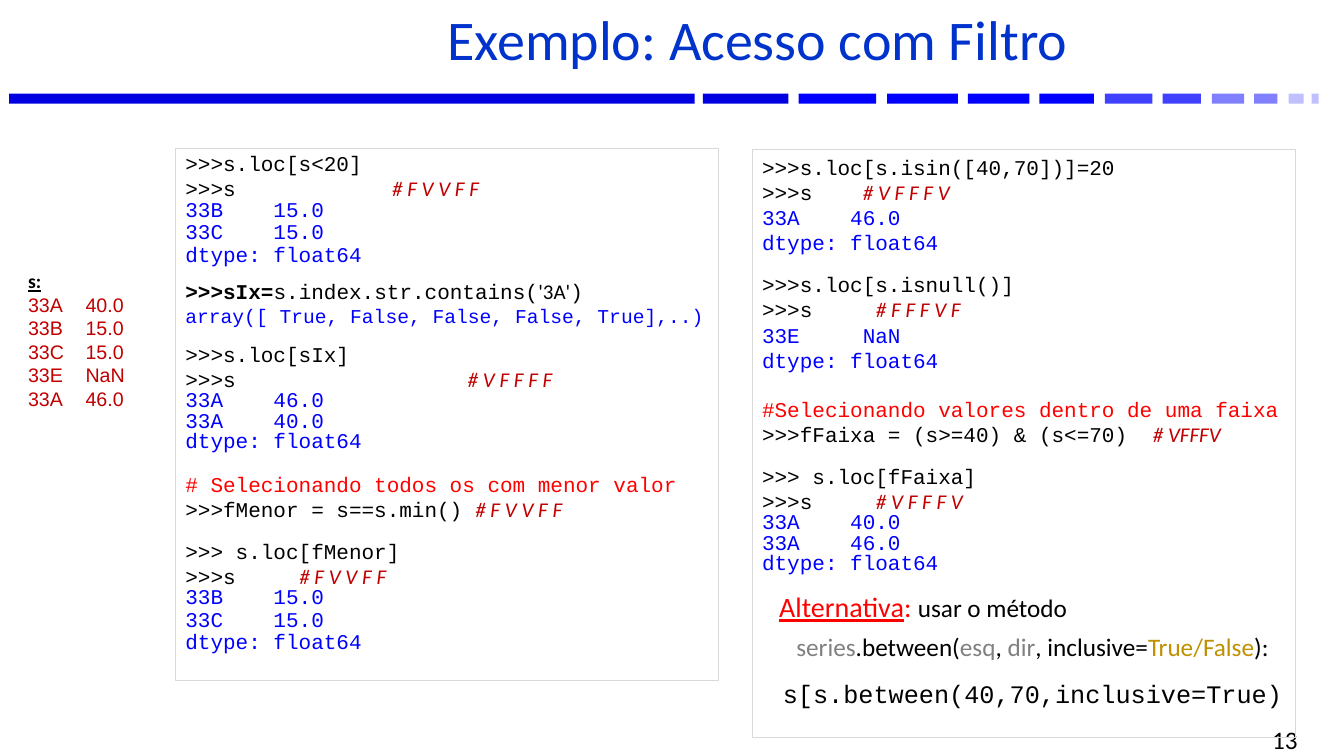
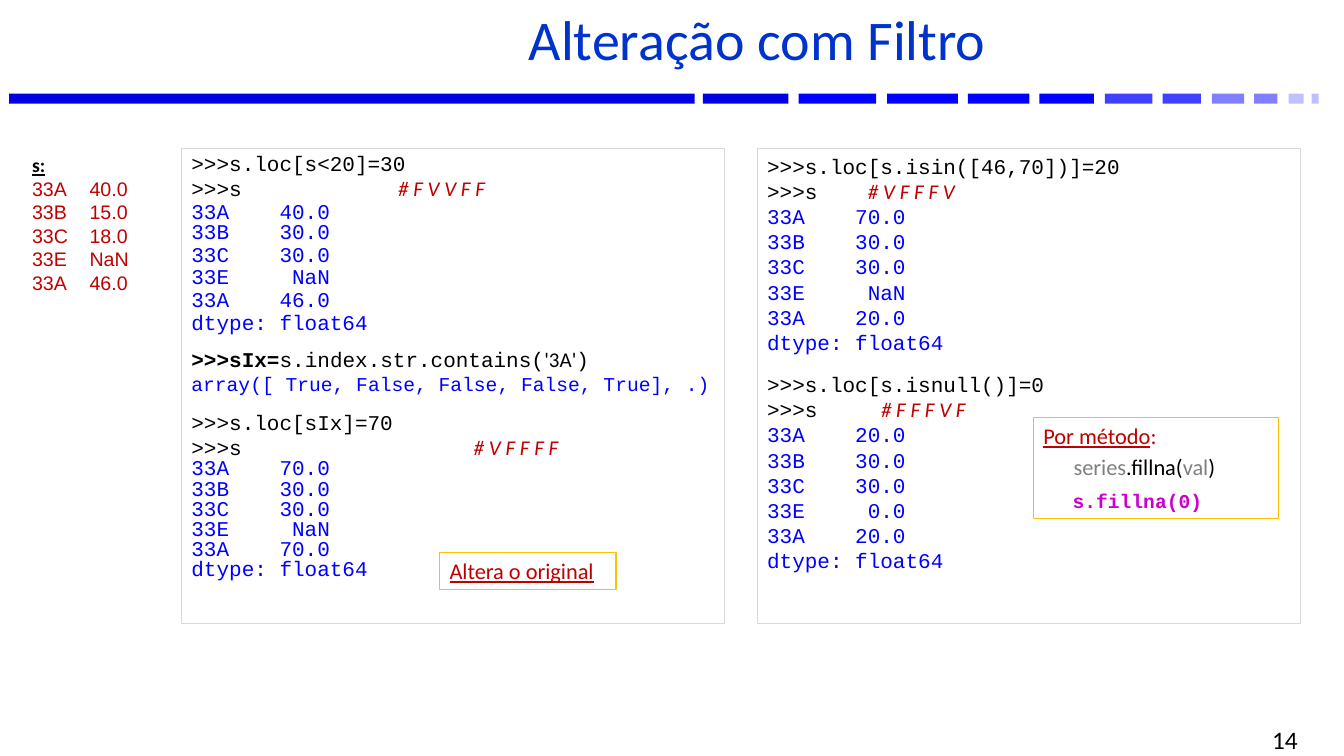
from dataclasses import dataclass

from pptx import Presentation
from pptx import util as u
from pptx.dml.color import RGBColor
from pptx.enum import shapes, text


@dataclass(frozen=True)
class Style:
    font: str
    size: int
    color: str
    bold: bool = False
    italic: bool = False
    underline: bool = False


@dataclass(frozen=True)
class Theme:
    title: Style = Style("Calibri", 40, "0033CC")
    number: Style = Style("Calibri", 18, "000000")
    code: Style = Style("Courier New", 15, "000000")
    strong: Style = Style("Courier New", 15, "000000", bold=True)
    literal: Style = Style("Calibri", 15, "000000")
    output: Style = Style("Courier New", 15, "0000FF")
    array: Style = Style("Courier New", 14, "0000FF")
    remark: Style = Style("Courier New", 15, "FF0000")
    mask: Style = Style("Calibri", 15, "C00000", italic=True)
    series_name: Style = Style("Calibri", 14, "000000", bold=True, underline=True)
    series_row: Style = Style("Arial", 14, "C00000")
    alternative: Style = Style("Calibri", 20, "FF0000", underline=True)
    colon: Style = Style("Calibri", 20, "FF0000")
    body: Style = Style("Calibri", 18, "000000")
    argument: Style = Style("Calibri", 18, "808080")
    value: Style = Style("Calibri", 18, "BF9000")
    example: Style = Style("Courier New", 18, "000000")
    callout: Style = Style("Calibri", 16, "C00000", underline=True)
    callout_colon: Style = Style("Calibri", 16, "C00000")
    callout_body: Style = Style("Calibri", 16, "000000")
    callout_argument: Style = Style("Calibri", 16, "808080")
    callout_code: Style = Style("Courier New", 14, "CC00CC", bold=True)
    panel_line: str = "D9D9D9"
    callout_line: str = "FFC000"
    bands: tuple = ("0000E0", "0000FF", "4040FF", "8080FF", "C0C0FF")


theme = Theme()


def add_box(slide, left, top, width, height, border=None):
    box = slide.shapes.add_textbox(*map(u.Inches, (left, top, width, height)))
    box.text_frame.word_wrap = True
    if border:
        box.line.color.rgb = RGBColor.from_string(border)
        box.line.width = u.Pt(0.75)
    return box.text_frame


def write(frame, *runs, before=0, spacing=1.0, stop=0, indent=0, align=text.PP_ALIGN.LEFT):
    paragraph = None
    for content, style in runs:
        for row, piece in enumerate(content.split("\n")):
            if row or paragraph is None:
                first = frame.paragraphs[0]
                paragraph = frame.add_paragraph() if first.runs else first
                paragraph.alignment = align
                paragraph.line_spacing = spacing
                paragraph.space_before = u.Pt(0 if row else before)
                if stop or indent:
                    properties = paragraph._p.get_or_add_pPr()
                    properties.set("marL", str(u.Inches(stop)))
                    properties.set("indent", str(u.Inches(indent - stop)))
            run = paragraph.add_run()
            run.text = piece
            run.font.name = style.font
            run.font.size = u.Pt(style.size)
            run.font.color.rgb = RGBColor.from_string(style.color)
            run.font.bold = style.bold
            run.font.italic = style.italic
            run.font.underline = style.underline


prs = Presentation()
prs.slide_width, prs.slide_height = u.Inches(13.33), u.Inches(7.5)
layout = prs.slide_layouts[5]
for placeholder in list(layout.placeholders):
    if placeholder.placeholder_format.idx >= 10:
        layout.shapes.element.remove(placeholder.element)

series_rows = "33A\t40.0\n33B\t15.0\n33C\t{}\n33E\tNaN\n33A\t46.0"
slides = []
for number, heading, series_left, series_top, third in (
    (13, "Exemplo: Acesso com Filtro", 0.18, 2.62, "15.0"),
    (14, "Alteração com Filtro", 0.22, 1.47, "18.0"),
):
    slide = prs.slides.add_slide(layout)
    slides.append(slide)
    title = slide.shapes.title
    title.left, title.top = u.Inches(1.94), u.Inches(0.06)
    title.width, title.height = u.Inches(11.14), u.Inches(0.77)
    title.text_frame.auto_size = text.MSO_AUTO_SIZE.NONE
    title.text_frame.vertical_anchor = text.MSO_ANCHOR.MIDDLE
    write(title.text_frame, (heading, theme.title), spacing=0.8, align=text.PP_ALIGN.CENTER)

    page = add_box(slide, 9.86, 7.23, 3.11, 0.22)
    page.vertical_anchor = text.MSO_ANCHOR.MIDDLE
    write(page, (str(number), theme.number), align=text.PP_ALIGN.RIGHT)

    series = add_box(slide, series_left, series_top, 1.24, 1.75)
    write(series, ("s:", theme.series_name))
    write(series, (series_rows.format(third), theme.series_row), stop=0.57)

access, change = slides

bands = []
for left, width, tone in (
    (0.09, 6.8, 0), (6.97, 0.85, 0), (7.92, 0.77, 1), (8.8, 0.7, 1),
    (9.6, 0.61, 1), (10.31, 0.54, 1), (10.96, 0.47, 2), (11.53, 0.38, 2),
    (12.02, 0.32, 3), (12.44, 0.23, 3), (12.78, 0.15, 4), (13.01, 0.07, 4),
):
    band = access.shapes.add_shape(
        shapes.MSO_SHAPE.RECTANGLE, u.Inches(left), u.Inches(0.93), u.Inches(width), u.Inches(0.1)
    )
    band.shadow.inherit = False
    band.fill.solid()
    band.fill.fore_color.rgb = RGBColor.from_string(theme.bands[tone])
    band.line.fill.background()
    bands.append(band)
for band in bands:
    layout.shapes.element.append(band.element)

echo = (">>>s\t", theme.code)
contains = (
    (">>>sIx=", theme.strong),
    ("s.index.str.contains(", theme.code),
    ("'3A'", theme.literal),
    (")", theme.code),
)

filters = add_box(access, 1.74, 1.47, 5.39, 5.28, theme.panel_line)
write(filters, (">>>s.loc[s<20]", theme.code), spacing=0.9)
write(filters, echo, ("# F V V F F", theme.mask), stop=2.05)
write(filters, ("33B    15.0", theme.output), spacing=0.8)
write(filters, ("33C    15.0\ndtype: float64", theme.output), spacing=0.9)
write(filters, *contains, before=12, spacing=0.8)
write(filters, ("array([ True, False, False, False, True],..)", theme.array))
write(filters, (">>>s.loc[sIx]", theme.code), before=12, spacing=0.9)
write(filters, echo, ("# V F F F F", theme.mask), stop=2.8)
write(filters, ("33A    46.0\n33A    40.0\ndtype: float64", theme.output), spacing=0.8)
write(filters, ("# Selecionando todos os com menor valor", theme.remark), before=13.6)
write(filters, (">>>fMenor = s==s.min() ", theme.code), ("# F V V F F", theme.mask))
write(filters, (">>> s.loc[fMenor]", theme.code), before=12)
write(filters, echo, ("# F V V F F", theme.mask), stop=1.13)
write(filters, ("33B    15.0", theme.output), spacing=0.8)
write(filters, ("33C    15.0\ndtype: float64", theme.output), spacing=0.9)

ranges = add_box(access, 7.46, 1.48, 5.39, 5.84, theme.panel_line)
write(ranges, (">>>s.loc[s.isin([40,70])]=20", theme.code))
write(ranges, echo, ("# V F F F V", theme.mask), stop=1)
write(ranges, ("33A    46.0\ndtype: float64", theme.output))
write(ranges, (">>>s.loc[s.isnull()]", theme.code), before=12)
write(ranges, echo, ("# F F F V F", theme.mask), stop=1.13)
write(ranges, ("33E     NaN\ndtype: float64", theme.output))
write(ranges, ("#Selecionando valores dentro de uma faixa", theme.remark), before=17)
write(ranges, (">>>fFaixa = (s>=40) & (s<=70)  ", theme.code), ("# VFFFV", theme.mask))
write(ranges, (">>> s.loc[fFaixa]", theme.code), before=12)
write(ranges, echo, ("# V F F F V", theme.mask), stop=1.13)
write(ranges, ("33A    40.0\n33A    46.0\ndtype: float64", theme.output), spacing=0.8)

between = add_box(access, 7.63, 5.8, 5.22, 1.3)
write(between, ("Alternativa", theme.alternative), (": ", theme.colon), ("usar o método", theme.body))
write(
    between,
    ("series", theme.argument),
    (".between(", theme.body),
    ("esq", theme.argument),
    (", ", theme.body),
    ("dir", theme.argument),
    (", inclusive=", theme.body),
    ("True/False", theme.value),
    ("):", theme.body),
    before=6,
    align=text.PP_ALIGN.CENTER,
)
write(
    between,
    ("s[s.between(40,70,inclusive=True)", theme.example),
    before=12,
    align=text.PP_ALIGN.CENTER,
)

updates = add_box(change, 1.8, 1.47, 5.39, 4.72, theme.panel_line)
write(updates, (">>>s.loc[s<20]=30", theme.code), spacing=0.9)
write(updates, echo, ("# F V V F F", theme.mask), stop=2.05)
write(updates, ("33A    40.0", theme.output), spacing=0.9)
write(updates, ("33B    30.0", theme.output), spacing=0.8)
write(
    updates,
    ("33C    30.0\n33E     NaN\n33A    46.0\ndtype: float64", theme.output),
    spacing=0.9,
)
write(updates, *contains, before=12, spacing=0.8)
write(updates, ("array([ True, False, False, False, True], .)", theme.array))
write(updates, (">>>s.loc[sIx]=70", theme.code), before=12, spacing=0.9)
write(updates, echo, ("# V F F F F", theme.mask), stop=2.8)
write(
    updates,
    ("33A    70.0\n33B    30.0\n33C    30.0\n33E     NaN\n33A    70.0\ndtype: float64", theme.output),
    spacing=0.8,
)

replacements = add_box(change, 7.51, 1.47, 5.39, 4.72, theme.panel_line)
write(replacements, (">>>s.loc[s.isin([46,70])]=20", theme.code))
write(replacements, echo, ("# V F F F V", theme.mask), stop=1)
write(
    replacements,
    ("33A    70.0\n33B    30.0\n33C    30.0\n33E     NaN\n33A    20.0\ndtype: float64", theme.output),
)
write(replacements, (">>>s.loc[s.isnull()]=0", theme.code), before=12)
write(replacements, echo, ("# F F F V F", theme.mask), stop=1.13)
write(
    replacements,
    ("33A    20.0\n33B    30.0\n33C    30.0\n33E     0.0\n33A    20.0\ndtype: float64", theme.output),
)

method = add_box(change, 10.25, 4.14, 2.43, 1, theme.callout_line)
write(method, ("Por método", theme.callout), (":", theme.callout_colon))
write(
    method,
    ("series", theme.callout_argument),
    (".fillna(", theme.callout_body),
    ("val", theme.callout_argument),
    (")", theme.callout_body),
    before=3,
    indent=0.3,
)
write(method, ("s.fillna(0)", theme.callout_code), before=6, indent=0.29)

original = add_box(change, 4.36, 5.48, 1.75, 0.37, theme.callout_line)
write(original, ("Altera o original", theme.callout))

prs.save("out.pptx")
